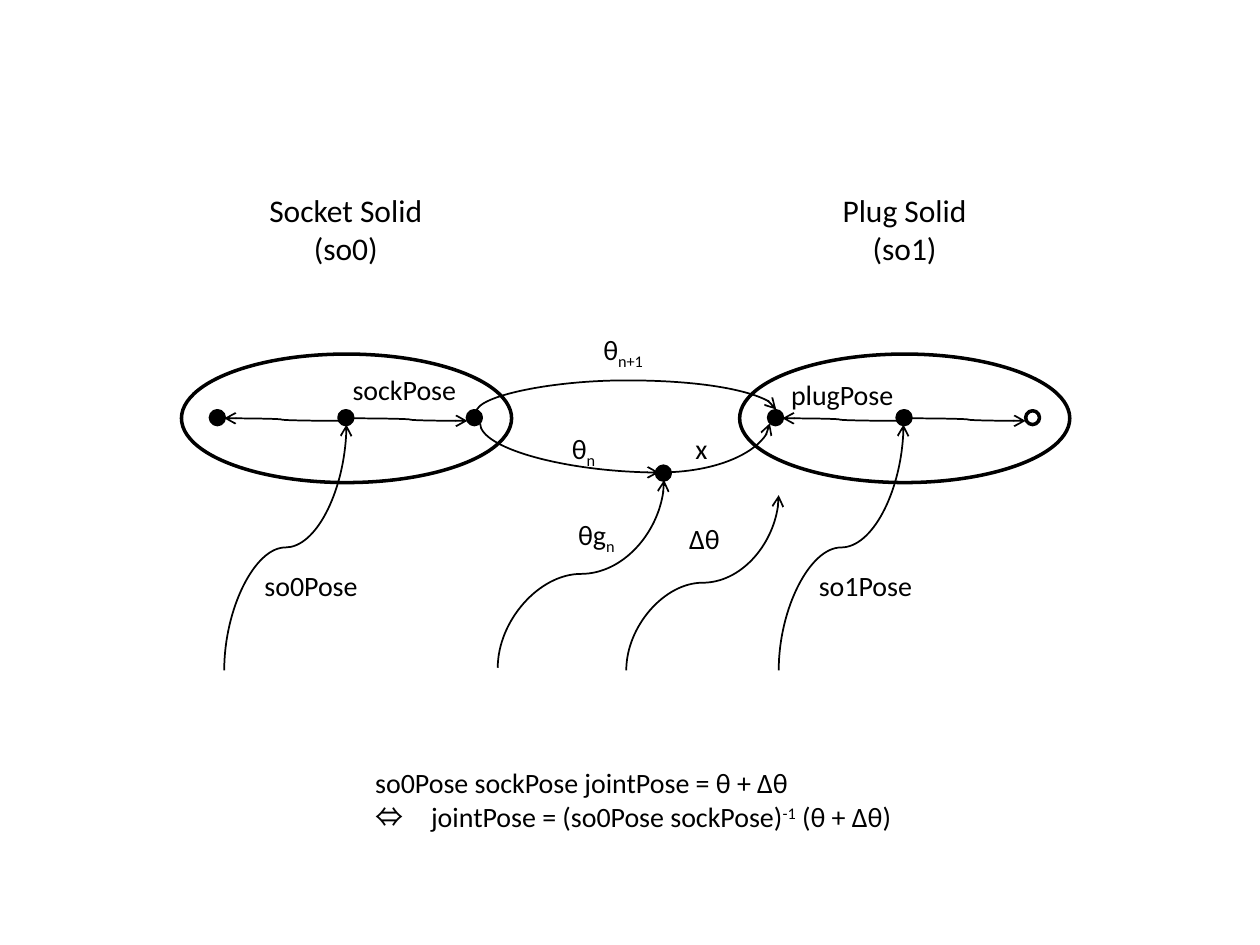
"""Draw a joint pose diagram linking a socket solid and a plug solid."""
import pptx
import pptx.util
import pptx.dml.color
import pptx.enum.shapes
import pptx.enum.text
import pptx.oxml
import pptx.oxml.ns
from dataclasses import dataclass

Inches = pptx.util.Inches
Pt = pptx.util.Pt
qn = pptx.oxml.ns.qn
Kind = pptx.enum.shapes.MSO_SHAPE
Align = pptx.enum.text.PP_ALIGN


@dataclass
class Theme:
    ink: object = pptx.dml.color.RGBColor(0, 0, 0)
    paper: object = pptx.dml.color.RGBColor(255, 255, 255)
    font: str = "Calibri"
    head: int = 18
    label: int = 16
    edge: float = 2
    thin: float = 1


theme = Theme()
deck = pptx.Presentation()
deck.slide_width, deck.slide_height = Inches(10), Inches(7.5)
slide = deck.slides.add_slide(deck.slide_layouts[6])
shapes = slide.shapes


def oval(x, y, wide, high, fill=None):
    shape = shapes.add_shape(Kind.OVAL, *map(Inches, (x, y, wide, high)))
    shape.shadow.inherit = False
    if fill is None:
        shape.fill.background()
    else:
        shape.fill.solid()
        shape.fill.fore_color.rgb = fill
    shape.line.color.rgb = theme.ink
    shape.line.width = Pt(theme.edge)


def curve(x1, y1, x2, y2, turn=0, flips="", form="curvedConnector3", bend=0.5):
    line = shapes.add_connector(
        pptx.enum.shapes.MSO_CONNECTOR.CURVE, *map(Inches, (x1, y1, x2, y2)))
    line.line.color.rgb = theme.ink
    line.line.width = Pt(theme.thin)
    props = line._element.spPr
    if turn:
        wide, high = abs(y2 - y1), abs(x2 - x1)
        place = {"left": (x1 + x2 - wide) / 2, "top": (y1 + y2 - high) / 2,
                 "width": wide, "height": high}
        for name, value in place.items():
            setattr(line, name, Inches(value))
        frame = props.find(qn("a:xfrm"))
        frame.set("rot", str(turn * 60000))
        frame.set("flipH", str(int("h" in flips)))
        frame.set("flipV", str(int("v" in flips)))
    geom = props.find(qn("a:prstGeom"))
    geom.set("prst", form)
    if form == "curvedConnector3":
        guide = pptx.oxml.parse_xml(
            '<a:gd xmlns:a="http://schemas.openxmlformats.org/drawingml/2006/main"'
            f' name="adj1" fmla="val {round(bend * 100000)}"/>')
        geom.get_or_add_avLst().append(guide)
    tip = props.find(qn("a:ln")).makeelement(qn("a:tailEnd"), {"type": "arrow"})
    props.find(qn("a:ln")).append(tip)
    props.append(props.makeelement(qn("a:effectLst"), {}))


dot, reach = 0.11, 1.02
for left, last in ((1.44, theme.ink), (5.87, theme.paper)):
    oval(left, 2.81, 2.62, 1.02)
    mid = left + 1.25
    tones = (theme.ink, theme.ink, last if left > 5 else theme.ink)
    for step, tone in zip((-1, 0, 1), tones):
        oval(mid + step * reach, 3.26, dot, dot, tone)
    curve(mid, 3.34, mid - 0.91, 3.32)
    curve(mid + dot, 3.32, mid + reach, 3.34)

curve(3.78, 3.27, 6.16, 3.25, 90, "hv", bend=12.5)
rises = ((1.78, 5.32, 2.75, 3.37), (6.18, 5.32, 7.17, 3.37),
         (4.97, 5.32, 6.18, 3.93), (3.95, 5.3, 5.27, 3.81))
for ends in rises:
    curve(*ends, 90, "hv")
curve(3.81, 3.36, 5.23, 3.75, 270, "h", "curvedConnector2")
curve(5.23, 3.75, 6.11, 3.36, form="curvedConnector2")
oval(5.21, 3.7, dot, dot, theme.ink)

head = {"size": Pt(theme.head), "name": theme.font}
label = {"size": Pt(theme.label), "name": theme.font}
texts = [
    (2.03, 1.47, 1.43, 0.71, head, [[("Socket Solid", 0)], [("(so0)", 0)]]),
    (6.58, 1.47, 1.2, 0.71, head, [[("Plug Solid", 0)], [("(so1)", 0)]]),
    (2.7, 2.91, 1.04, 0.37, label, [[("sockPose", 0)]]),
    (6.18, 2.95, 1.02, 0.37, label, [[("plugPose", 0)]]),
    (4.69, 2.59, 0.55, 0.37, label, [[("θ", 0), ("n+1", -25)]]),
    (4.44, 3.38, 0.4, 0.37, label, [[("θ", 0), ("n", -25)]]),
    (4.49, 4.06, 0.51, 0.37, label, [[("θg", 0), ("n", -25)]]),
    (5.42, 3.38, 0.3, 0.37, label, [[("x", 0)]]),
    (5.37, 4.09, 0.45, 0.37, label, [[("Δθ", 0)]]),
    (2, 4.46, 0.95, 0.37, label, [[("so0Pose", 0)]]),
    (6.4, 4.46, 0.95, 0.37, label, [[("so1Pose", 0)]]),
    (2.88, 6.03, 4.3, 0.64, label, [
        [("so0Pose sockPose jointPose = θ + Δθ", 0)],
        [("⇔　jointPose = (so0Pose sockPose)", 0), ("-1", 30), (" (θ + Δθ)", 0)]]),
]
for x, y, wide, high, style, rows in texts:
    frame = shapes.add_textbox(*map(Inches, (x, y, wide, high))).text_frame
    frame.word_wrap = wide > 4
    for place, row in enumerate(rows):
        para = frame.add_paragraph() if place else frame.paragraphs[0]
        para.alignment = Align.CENTER if style is head else Align.LEFT
        for words, shift in row:
            run = para.add_run()
            run.text = words
            for name, value in style.items():
                setattr(run.font, name, value)
            run.font.color.rgb = theme.ink
            if shift:
                run._r.get_or_add_rPr().set("baseline", str(shift * 1000))

deck.save("out.pptx")
